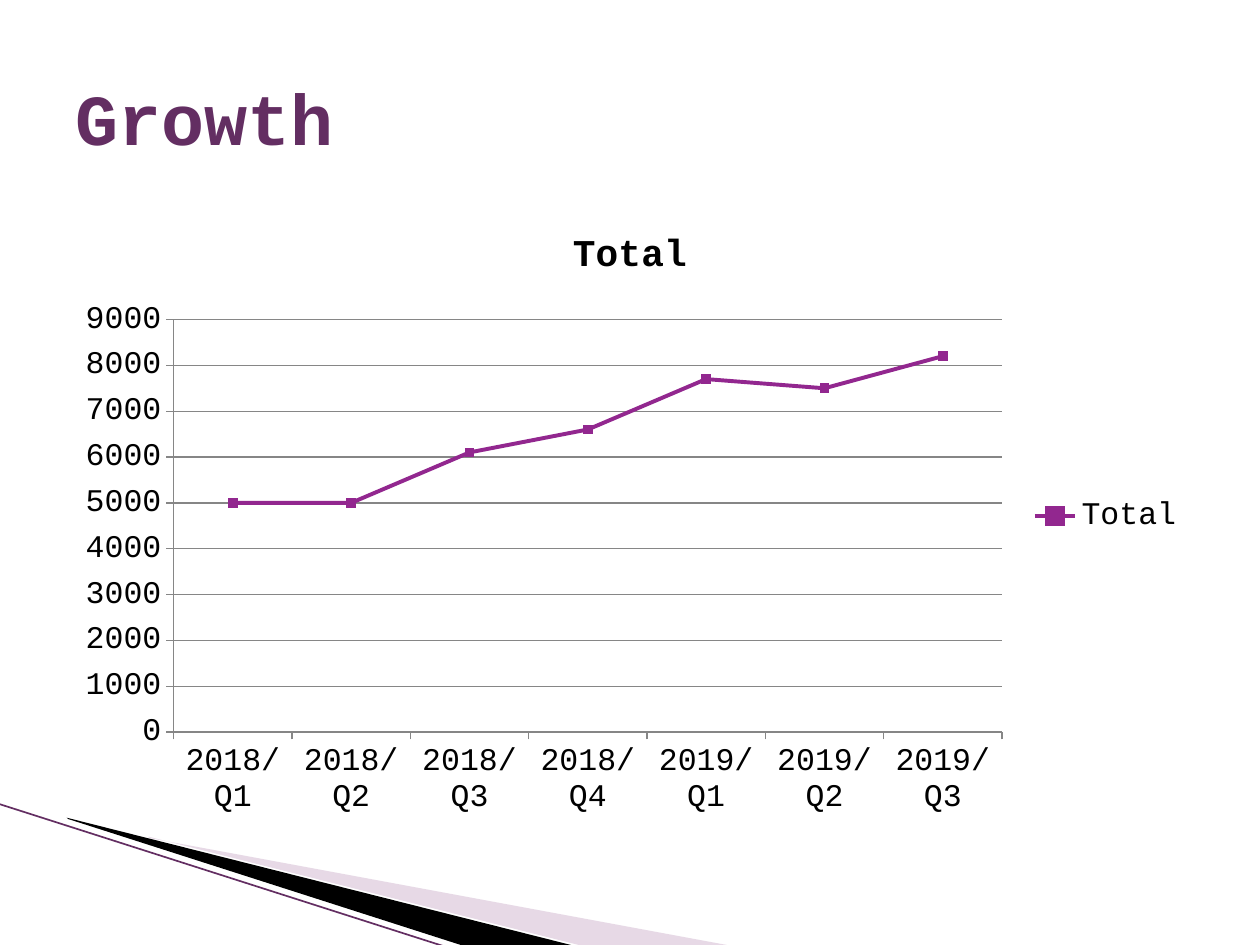
from pptx import Presentation
from pptx.chart.data import CategoryChartData
from pptx.dml.color import RGBColor
from pptx.enum.chart import XL_CHART_TYPE as ChartType, XL_LEGEND_POSITION as LegendPos
from pptx.enum.chart import XL_MARKER_STYLE as Marker, XL_TICK_MARK as Tick
from pptx.enum.shapes import MSO_CONNECTOR as Conn
from pptx.enum.text import MSO_ANCHOR as Anchor, PP_ALIGN as Align
from pptx.oxml.ns import qn
from pptx.util import Inches, Pt
from lxml.etree import SubElement

FONT, PLUM, PURPLE, GREY = "Courier New", "632E62", "92278F", "868686"


def rgb(code):
    """Return the colour for a hex string."""
    return RGBColor.from_string(code)


def set_text(tf, text, size=18, color="000000", bold=False, align=None):
    """Write one formatted paragraph into a text frame."""
    tf.text = text
    p = tf.paragraphs[0]
    p.alignment = align
    f = p.runs[0].font
    f.name, f.size, f.bold = FONT, Pt(size), bold
    f.color.rgb = rgb(color)


prs = Presentation()
prs.slide_width, prs.slide_height = Inches(10), Inches(7.5)
W, H = prs.slide_width, prs.slide_height
s = prs.slides.add_slide(prs.slide_layouts[5])
margin, content_w = int(W * 0.05), int(W * 0.9)

# Corner wedges: points in hundredths of an inch, fill, opacity in percent
wedges = [
    ([(118, 665), (658, 765), (519, 765), (118, 664)], "C4A1C2", 40),
    ([(53, 649), (457, 751), (372, 752), (54, 650)], "000000", 100),
]
for points, color, opacity in wedges:
    fb = s.shapes.build_freeform(*points[0], scale=Inches(0.01))
    fb.add_line_segments(points[1:], close=True)
    sp = fb.convert_to_shape()
    sp.shadow.inherit = False
    sp.fill.solid()
    sp.fill.fore_color.rgb = rgb(color)
    sp.line.fill.background()
    if opacity < 100:
        clr = sp.fill._xPr.find(qn("a:solidFill"))[0]
        SubElement(clr, qn("a:alpha")).set("val", str(opacity * 1000))

edge = s.shapes.add_connector(Conn.STRAIGHT, Inches(-0.01), Inches(6.38), Inches(3.71), Inches(7.57))
edge.line.color.rgb = rgb(PLUM)
edge.line.width = Pt(0.95)
SubElement(edge._element.spPr, qn("a:effectLst"))

# Title
title = s.shapes.title
title.left, title.top, title.width, title.height = margin, int(H * 0.04), content_w, Inches(1.25)
title.text_frame.vertical_anchor = Anchor.MIDDLE
set_text(title.text_frame, "Growth", size=41, color=PLUM, bold=True, align=Align.LEFT)

# Line chart
data = CategoryChartData()
data.categories = ["2018/Q1", "2018/Q2", "2018/Q3", "2018/Q4", "2019/Q1", "2019/Q2", "2019/Q3"]
data.add_series("Total", [5000, 5000, 6100, 6600, 7700, 7500, 8200])
chart = s.shapes.add_chart(ChartType.LINE_MARKERS, margin, Inches(1.62),
                           content_w, int(H * 0.66), data).chart
chart.font.name, chart.font.size = FONT, Pt(18)
chart.font.color.rgb = rgb("000000")
chart.has_title = True
set_text(chart.chart_title.text_frame, "Total", size=21.6, bold=True)
chart.chart_title.include_in_layout = False
chart.has_legend = True
chart.legend.position = LegendPos.RIGHT
chart.legend.include_in_layout = False

values = chart.value_axis
values.minimum_scale, values.maximum_scale, values.major_unit = 0, 9000, 1000
values.has_major_gridlines = True
for line in (values.format.line, chart.category_axis.format.line, values.major_gridlines.format.line):
    line.color.rgb = rgb(GREY)
    line.width = Pt(0.75)
for axis in (values, chart.category_axis):
    axis.major_tick_mark, axis.minor_tick_mark = Tick.OUTSIDE, Tick.NONE

chart.plots[0].vary_by_categories = False
total = chart.plots[0].series[0]
total.smooth = False
total.format.line.color.rgb = rgb(PURPLE)
total.format.line.width = Pt(2.25)
total.marker.style, total.marker.size = Marker.SQUARE, 5
total.marker.format.fill.solid()
total.marker.format.fill.fore_color.rgb = rgb(PURPLE)
total.marker.format.line.color.rgb = rgb(PURPLE)

prs.save("out.pptx")
